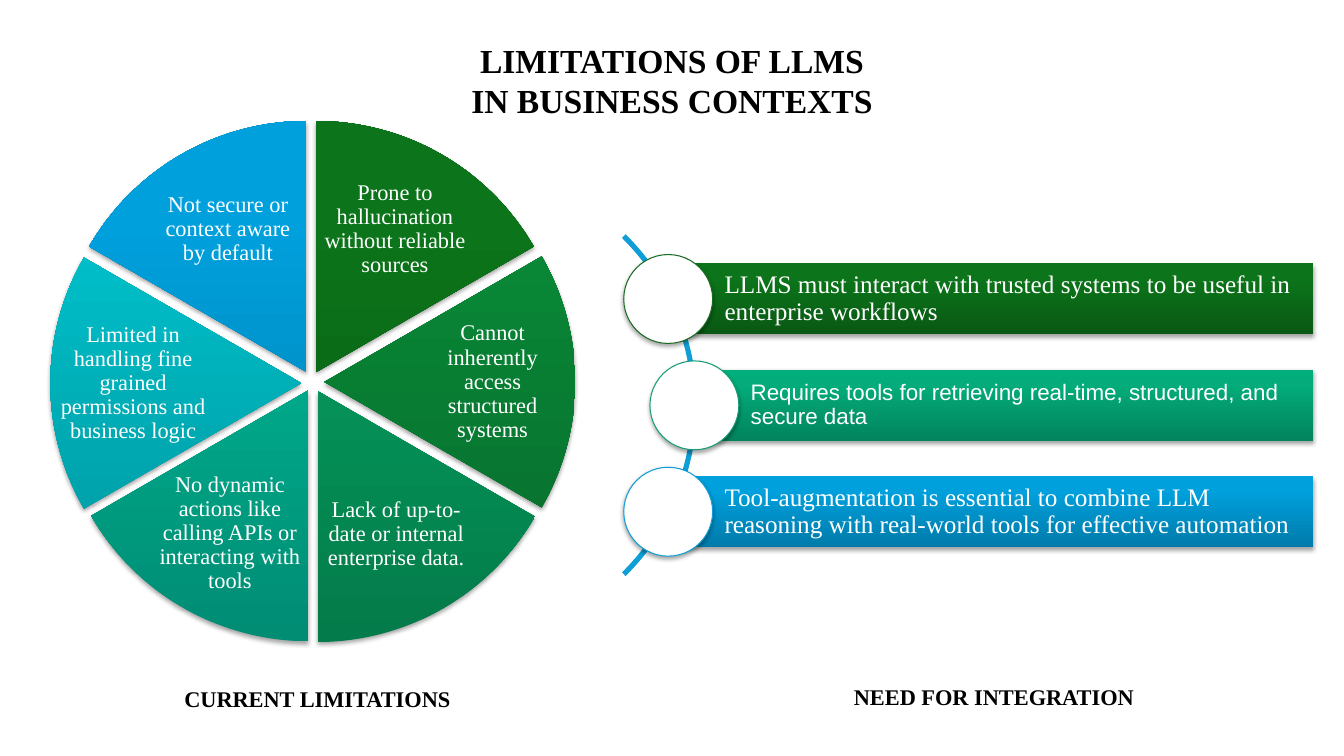
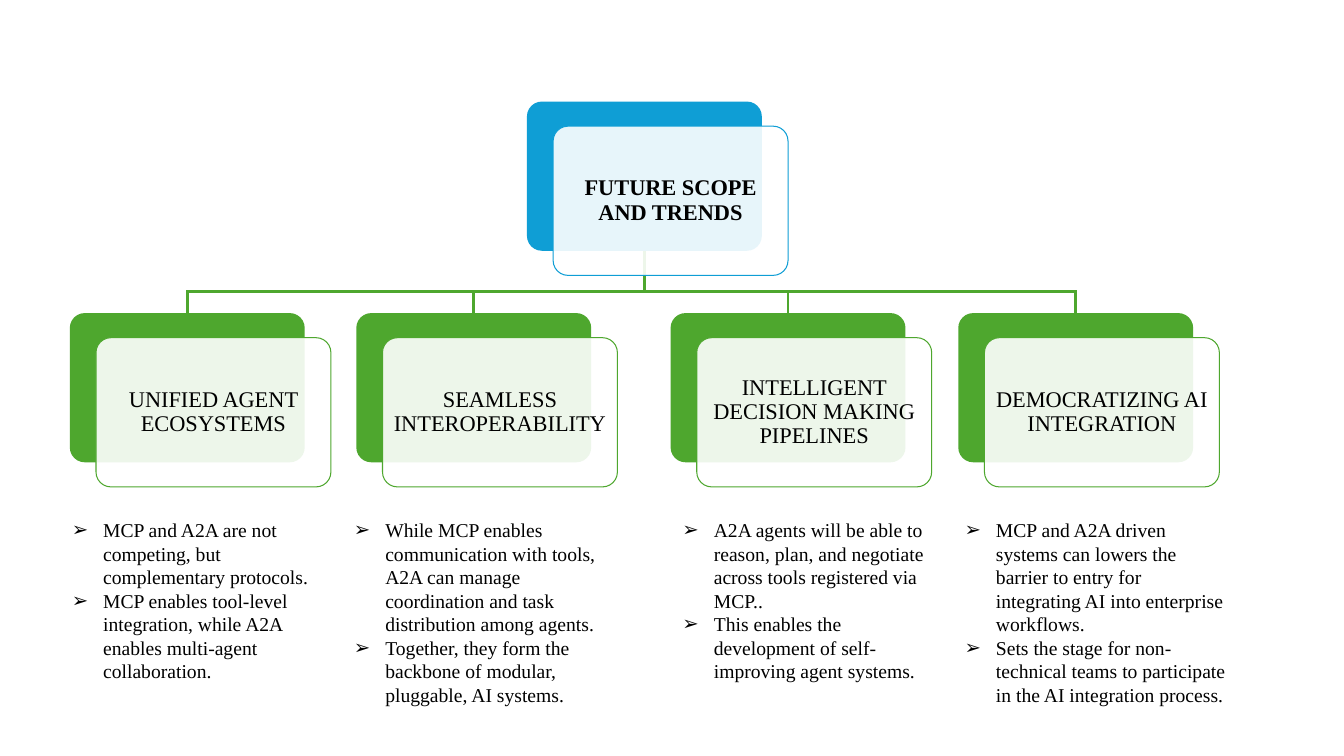
"""Build two slides: limits of LLMs in business, and future scope."""
from copy import deepcopy
from dataclasses import dataclass
from math import cos, radians, sin

from lxml.etree import SubElement
from pptx import Presentation
from pptx.dml.color import RGBColor
from pptx.enum.shapes import MSO_SHAPE
from pptx.enum.text import MSO_ANCHOR, PP_ALIGN
from pptx.oxml.ns import qn
from pptx.util import Cm, Pt

TITLE = "LIMITATIONS OF LLMS IN BUSINESS CONTEXTS"
WEDGES = [
    ("Prone to hallucination without reliable sources", "forest", 1.65, 3.05),
    ("Cannot inherently access structured systems", "leaf", 1.85, 3.3),
    ("Lack of up-to-date or internal enterprise data.", "jade", 1.68, 3.53),
    ("No dynamic actions like calling APIs or interacting with tools", "teal",
     1.45, 3.51),
    ("Limited in handling fine grained permissions and business logic", "aqua",
     1.27, 3.33),
    ("Not secure or context aware by default", "sky", 1.4, 3.05),
]
NEEDS = [
    ("LLMS must interact with trusted systems to be useful in enterprise workflows",
     "forest", "196B24", 16.84, 18, "Times New Roman"),
    ("Requires tools for retrieving real-time, structured, and secure data",
     "mint", "179D76", 17.5, 16, "Arial"),
    ("Tool-augmentation is essential to combine LLM reasoning with real-world "
     "tools for effective automation",
     "sky", "0F9ED5", 16.84, 18, "Times New Roman"),
]
FEET = [("CURRENT LIMITATIONS", 2.77, 17.15), ("NEED FOR INTEGRATION", 19.82, 17.09)]
ROOT = "FUTURE SCOPE AND TRENDS"
TRENDS = [
    ("UNIFIED AGENT ECOSYSTEMS", 1.76, 1.56, [
        "MCP and A2A are not competing, but complementary protocols.",
        "MCP enables tool-level integration, while A2A enables multi-agent "
        "collaboration."]),
    ("SEAMLESS INTEROPERABILITY", 8.98, 8.67, [
        "While MCP enables communication with tools, A2A can manage coordination "
        "and task distribution among agents.",
        "Together, they form the backbone of modular, pluggable, AI systems."]),
    ("INTELLIGENT DECISION MAKING PIPELINES", 16.9, 16.95, [
        "A2A agents will be able to reason, plan, and negotiate across tools "
        "registered via MCP..",
        "This enables the development of self-improving agent systems."]),
    ("DEMOCRATIZING AI INTEGRATION", 24.15, 24.06, [
        "MCP and A2A driven systems can lowers the barrier to entry for "
        "integrating AI into enterprise workflows.",
        "Sets the stage for non-technical teams to participate in the AI "
        "integration process."]),
]
GRADES = {
    "forest": ("095914", "0C741A", "0A7619"),
    "leaf": ("076A2B", "098938", "078C37"),
    "jade": ("047B4A", "05A061", "02A462"),
    "teal": ("008D74", "00B897", "00B997"),
    "aqua": ("00949C", "00C0CA", "00C1CB"),
    "sky": ("007BAA", "00A0DD", "00A0DE"),
    "mint": ("02845E", "03AC7A", "00AF7C"),
}


@dataclass(frozen=True)
class Theme:
    """Colours, type and sizes."""
    ink: str = "000000"
    white: str = "FFFFFF"
    blue: str = "0F9ED5"
    green: str = "4EA72E"
    font: str = "Times New Roman"
    mark: str = "Arial"
    title: int = 24
    body: int = 16
    note: int = 14
    thin: float = 0.75
    thick: float = 2


THEME = Theme()


def rgb(code):
    """Turn a hex code into a colour."""
    return RGBColor.from_string(code)


def write(shape, lines, size, color=THEME.ink, font=THEME.font, bold=False,
          align=PP_ALIGN.CENTER, anchor=MSO_ANCHOR.TOP, pad=None, gap=1.0):
    """Fill a shape with styled paragraphs."""
    frame = shape.text_frame
    frame.text = "\n".join(lines)
    frame.word_wrap = True
    frame.vertical_anchor = anchor
    if pad is not None:
        frame.margin_left = frame.margin_right = Cm(pad)
        frame.margin_top = frame.margin_bottom = Cm(pad)
    for para in frame.paragraphs:
        para.alignment = align
        para.line_spacing = gap
        for run in para.runs:
            run.font.name = font
            run.font.size = Pt(size)
            run.font.bold = bold
            run.font.color.rgb = rgb(color)
    return frame


def label(slide, box, lines, size, **style):
    """Add a text box."""
    return write(slide.shapes.add_textbox(*map(Cm, box)), lines, size, **style)


def paint(shape, fill=None, line=None, width=THEME.thin):
    """Give a shape plain fill and line, without shadow."""
    shape.shadow.inherit = False
    if fill:
        shape.fill.solid()
        shape.fill.fore_color.rgb = rgb(fill)
    else:
        shape.fill.background()
    if line:
        shape.line.color.rgb = rgb(line)
        shape.line.width = Pt(width)
        SubElement(shape.element.spPr.find(qn("a:ln")), qn("a:miter"), lim="800000")
    else:
        shape.line.fill.background()
    return shape


def draw(slide, kind, box, fill=None, line=None, width=THEME.thin, turns=()):
    """Add a preset shape."""
    shape = slide.shapes.add_shape(kind, *map(Cm, box))
    for spot, turn in enumerate(turns):
        shape.adjustments[spot] = turn
    return paint(shape, fill, line, width)


def grade(shape, name):
    """Shade a shape from dark at the foot to light at the top."""
    fill = shape.fill
    fill.gradient()
    fill.gradient_angle = 90
    stops = shape.element.spPr.find(qn("a:gradFill")).find(qn("a:gsLst"))
    stops.append(deepcopy(stops[0]))
    for stop, place, code in zip(fill.gradient_stops, (0, 0.8, 1), GRADES[name]):
        stop.position = place
        stop.color.rgb = rgb(code)


def shade(shape):
    """Drop a soft shadow below a shape."""
    effects = shape.element.spPr.find(qn("a:effectLst"))
    drop = SubElement(effects, qn("a:outerShdw"), blurRad="40000", dist="23000",
                      dir="5400000", rotWithShape="0")
    color = SubElement(drop, qn("a:srgbClr"), val=THEME.ink)
    SubElement(color, qn("a:alpha"), val="35000")


def wheel(slide):
    """Draw the wedges with their labels."""
    size, wide, high = 12.65, 3.84, 2.7
    step = 360 / len(WEDGES)
    for spot, (text, name, left, top) in enumerate(WEDGES):
        start = 270 + spot * step
        mid = radians(start + step / 2)
        turns = [angle % 360 * 0.6 for angle in (start, start + step)]
        wedge = draw(slide, MSO_SHAPE.PIE, (left, top, size, size), turns=turns)
        grade(wedge, name)
        shade(wedge)
        reach = 4.24 if spot % 3 == 1 else 3.96
        box = (left + size / 2 + reach * cos(mid) - wide / 2,
               top + size / 2 + 4.16 * sin(mid) - high / 2, wide, high)
        label(slide, box, [text], THEME.body, color=THEME.white,
              anchor=MSO_ANCHOR.MIDDLE, pad=0.05, gap=0.9)


def needs(slide):
    """Draw the arc with its bars and discs."""
    top, pitch, high, right, disc = 6.64, 2.68, 1.79, 33.1, 2.24
    draw(slide, MSO_SHAPE.BLOCK_ARC, (5.49, 4.19, 12.04, 12.04), line=THEME.blue,
         width=THEME.thick, turns=(189, 27, 0.005))
    for row, (text, name, edge, left, size, font) in enumerate(NEEDS):
        y = top + row * pitch
        bar = draw(slide, MSO_SHAPE.RECTANGLE, (left, y, right - left, high))
        grade(bar, name)
        shade(bar)
        frame = write(bar, [text], size, THEME.white, font, align=PP_ALIGN.LEFT,
                      anchor=MSO_ANCHOR.MIDDLE, pad=0.12, gap=0.9)
        frame.margin_left = Cm(1.42)
        box = (left - disc / 2, y + (high - disc) / 2, disc, disc)
        shade(draw(slide, MSO_SHAPE.OVAL, box, THEME.white, edge))


def card(slide, left, top, text, color, bold=False):
    """Draw a solid card with a clear card in front."""
    wide, high = 5.92, 3.76
    draw(slide, MSO_SHAPE.ROUNDED_RECTANGLE, (left, top, wide, high), color,
         turns=[0.1])
    front = draw(slide, MSO_SHAPE.ROUNDED_RECTANGLE,
                 (left + 0.66, top + 0.62, wide, high), THEME.white, color,
                 turns=[0.1])
    solid = front.element.spPr.find(qn("a:solidFill"))
    SubElement(solid[0], qn("a:alpha"), val="90000")
    write(front, [text], THEME.body, bold=bold, anchor=MSO_ANCHOR.MIDDLE,
          pad=0.15, gap=0.9)


def branch(slide, points):
    """Draw an open bent line of the tree."""
    start, *rest = [(Cm(x), Cm(y)) for x, y in points]
    pen = slide.shapes.build_freeform(*start)
    pen.add_line_segments(rest, close=False)
    paint(pen.convert_to_shape(), line=THEME.green, width=THEME.thick)


def bullet(para):
    """Give a paragraph an arrow bullet."""
    props = para._p.get_or_add_pPr()
    props.set("marL", str(Cm(0.79)))
    props.set("indent", str(-Cm(0.79)))
    color = SubElement(props, qn("a:buClr"))
    SubElement(color, qn("a:srgbClr"), val=THEME.ink)
    SubElement(props, qn("a:buFont"), typeface=THEME.mark)
    SubElement(props, qn("a:buChar"), char="➢")


def tree(slide):
    """Draw the root, its branches and the notes below."""
    half, root, top, bus, low = 2.96, 13.28, 2.56, 7.34, 7.89
    stem = root + half
    for _, left, _, _ in reversed(TRENDS):
        mid = left + half
        branch(slide, [(stem, 6.32), (stem, bus), (mid, bus), (mid, low)])
    card(slide, root, top, ROOT, THEME.blue, bold=True)
    for text, left, edge, notes in TRENDS:
        card(slide, left, low, text, THEME.green)
        frame = label(slide, (edge, 12.93, 7.11, 5.03), notes, THEME.note,
                      align=PP_ALIGN.LEFT)
        for para in frame.paragraphs:
            bullet(para)


def main():
    """Build and save the deck."""
    deck = Presentation()
    deck.slide_width, deck.slide_height = Cm(33.87), Cm(19.05)
    limits, future = (deck.slides.add_slide(deck.slide_layouts[6]) for _ in range(2))
    wheel(limits)
    label(limits, (11.4, 0.87, 11.07, 2.31), [TITLE], THEME.title, bold=True)
    needs(limits)
    for text, left, top in FEET:
        label(limits, (left, top, 10.46, 0.94), [text], THEME.body, bold=True)
    tree(future)
    deck.save("out.pptx")


if __name__ == "__main__":
    main()
